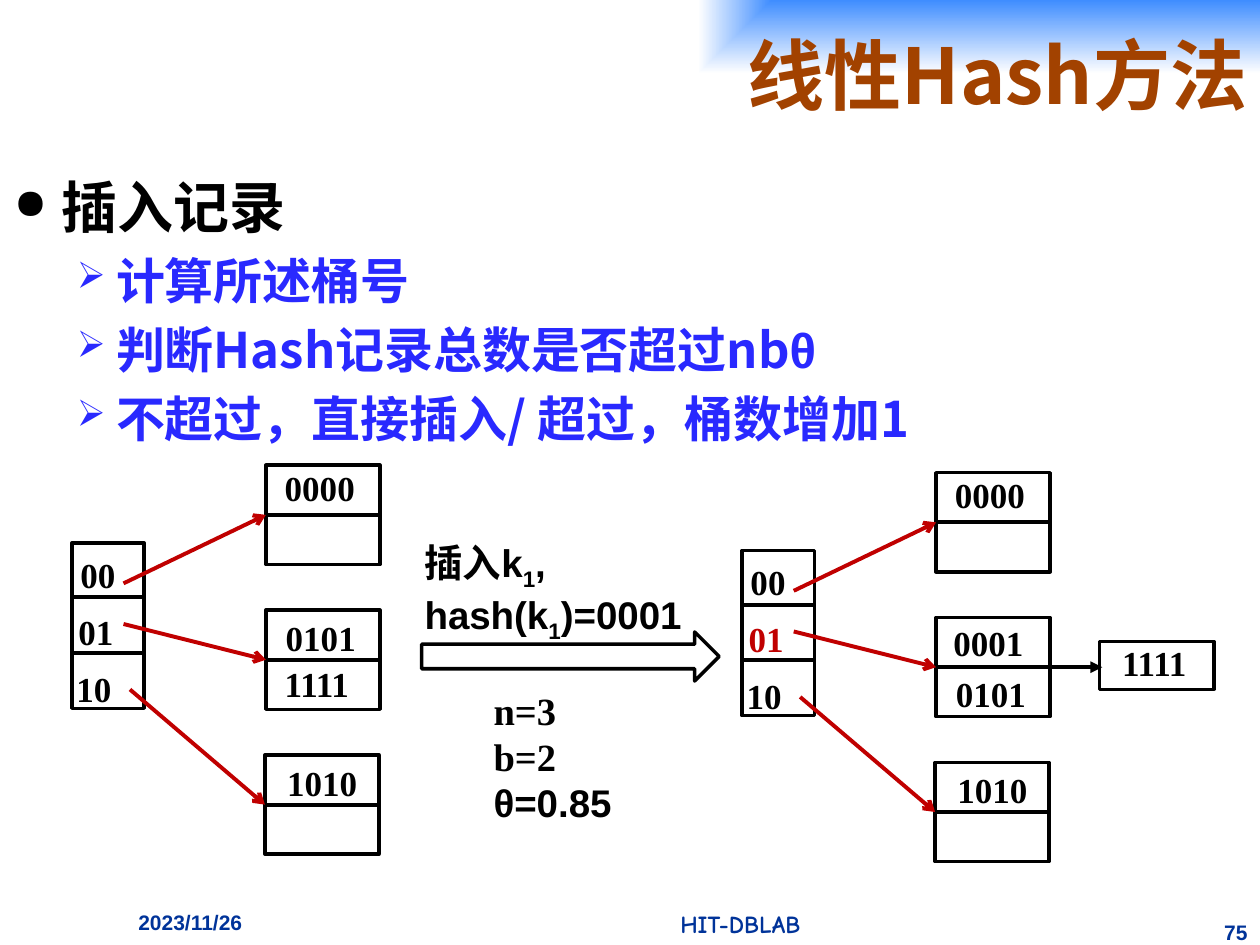
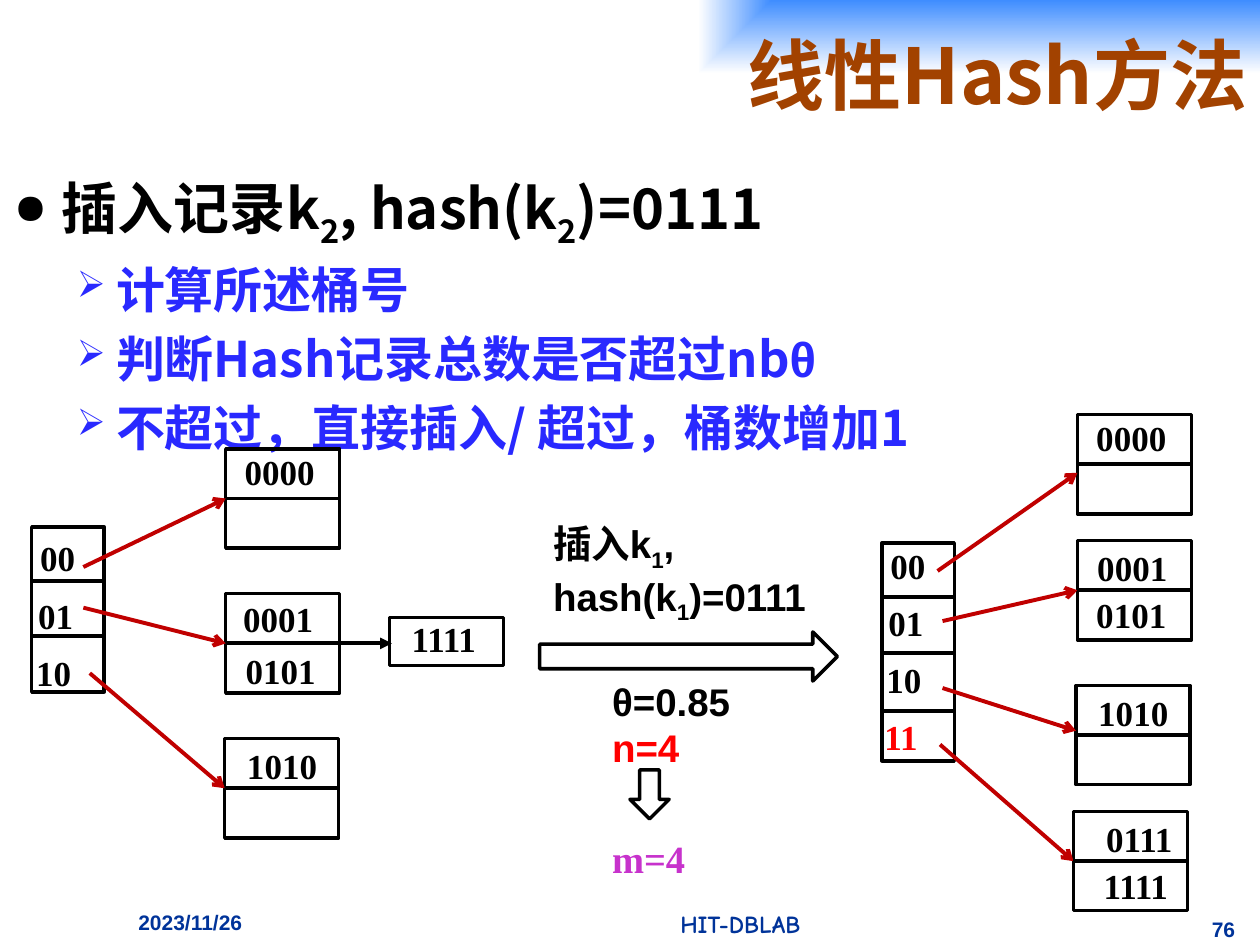
from dataclasses import dataclass

from lxml.etree import SubElement
from pptx import Presentation
from pptx.dml.color import RGBColor
from pptx.enum.shapes import MSO_CONNECTOR as CONN, MSO_SHAPE as SHAPE
from pptx.enum.text import MSO_ANCHOR as ANCHOR, MSO_AUTO_SIZE as AUTO, PP_ALIGN as ALIGN
from pptx.oxml import parse_xml
from pptx.oxml.ns import nsdecls, qn
from pptx.util import Cm, Pt


@dataclass(frozen=True)
class Theme:
    title: str = "A24200"
    band: str = "3F8DFF"
    black: str = "000000"
    blue: str = "2929FF"
    footer: str = "003399"
    pointer: str = "C00000"
    red: str = "FF0000"
    purple: str = "C732CC"
    title_font: str = "Noto Sans CJK SC"
    body_font: str = "Noto Sans CJK JP"
    sans: str = "Arial"
    serif: str = "Times New Roman"
    comic: str = "Comic Neue"
    title_size: int = 44
    head_size: int = 32
    step_size: int = 28
    note_size: int = 22
    code_size: int = 20
    lab_size: int = 14
    foot_size: int = 12


T = Theme()


def write(p, text, size=T.code_size, color=T.black, font=T.serif):
    """Append bold runs to p; parts between tildes become subscripts."""
    for i, part in enumerate(text.split("~")):
        r = p.add_run()
        r.text = part
        r.font.size, r.font.bold, r.font.name = Pt(size), True, font
        r.font.color.rgb = RGBColor.from_string(color)
        rPr = r.font._element
        east = font if "CJK" in font else T.title_font
        SubElement(rPr, qn("a:ea"), typeface=east)
        if i % 2:
            rPr.set("baseline", "-25000")


def add_text(s, x, y, w, h, text, align=ALIGN.LEFT, **fmt):
    tf = s.shapes.add_textbox(Cm(x), Cm(y), Cm(w), Cm(h)).text_frame
    tf.word_wrap = True
    p = tf.paragraphs[0]
    p.alignment = align
    write(p, text, **fmt)
    return tf


# Directory and bucket geometry, in centimetres
KEY_W, BUCKET_W, BUCKET_H, HALF = 1.46, 2.3, 2.0, 1.0
ROWS = (1.09, 2.21, 3.38)
KEY_STEP = 1.15

# A bucket: its offset, the pointer's start, the pointer's tip below the bucket top,
# its values with their offsets, and the value in its overflow block
FIRST = (3.91, -1.57, (1.04, 0.81), HALF, [("0000", 0.13, -0.1)], None)
THIRD = (3.89, 4.27, (1.17, 2.95), HALF, [("1010", 0.2, 0)], None)
BEFORE = [FIRST,
          (3.91, 1.35, (1.04, 1.63), HALF, [("0101", 0.15, 0), ("1111", 0.13, 0.94)], None),
          THIRD]
CHAINED = [FIRST,
           (3.91, 1.35, (1.04, 1.63), HALF, [("0001", 0.1, -0.05), ("0101", 0.15, 0.99)], "1111"),
           THIRD]
SPLIT = [(3.94, -2.59, (1.12, 0.56), 1.17, [("0000", 0.13, -0.08)], None),
         (3.94, -0.05, (1.22, 1.57), HALF, [("0001", 0.15, 0), ("0101", 0.13, 0.94)], None),
         (3.91, 2.87, (1.22, 2.92), 0.91, [("1010", 0.2, 0)], None),
         (3.86, 5.41, (1.17, 4.06), HALF, [("0111", 0.41, 0), ("1111", 0.36, 0.94)], None)]
KEYS = ["00", "01", "10"]

# Each tree: origin, directory height, first key offset, keys, key colours, buckets
SLIDES = [
    dict(number="75", number_at=(24.33, 18.42), head="插入记录", head_line=41.6,
         trees=[(1.45, 10.95, 3.33, 0.08, KEYS, {}, BEFORE),
                (14.96, 11.1, 3.33, 0.08, KEYS, {"01": T.pointer}, CHAINED)],
         insert=(8.31, 10.74, "插入k~1~, hash(k~1~)=0001"),
         state=(9.7, 13.72, [("n=3", T.serif, T.black), ("b=2", T.serif, T.black),
                             ("θ=0.85", T.sans, T.black)]),
         arrows=[(SHAPE.RIGHT_ARROW, 8.5, 12.74, 6, 0.99)], result=None),
    dict(number="76", number_at=(24.08, 18.36), head="插入记录k~2~, hash(k~2~)=0111",
         head_line=47,
         trees=[(0.64, 10.62, 3.33, 0.08, KEYS, {}, CHAINED),
                (17.78, 10.95, 4.39, -0.1, KEYS + ["11"], {"11": T.red}, SPLIT)],
         insert=(10.9, 10.36, "插入k~1~, hash(k~1~)=0111"),
         state=(12.09, 13.54, [("θ=0.85", T.sans, T.black), ("n=4", T.sans, T.red)]),
         arrows=[(SHAPE.RIGHT_ARROW, 10.88, 12.74, 6, 0.99),
                 (SHAPE.DOWN_ARROW, 12.7, 15.52, 0.79, 0.99)],
         result=(12.09, 16.71, "m=4")),
]
STEPS = [("计算所述桶号", ""), ("判断Hash记录总数是否超过nb", "θ"),
         ("不超过，直接插入/ 超过，桶数增加1", "")]

prs = Presentation()
prs.slide_width, prs.slide_height = Cm(25.4), Cm(19.05)

for page in SLIDES:
    s = prs.slides.add_slide(prs.slide_layouts[5])

    # Title on its gradient band
    title = s.shapes.title
    title.left, title.top, title.width, title.height = Cm(2.74), Cm(0), Cm(22.66), Cm(2.97)
    title._element.spPr.append(parse_xml(
        f'<a:gradFill {nsdecls("a")} rotWithShape="0"><a:gsLst>'
        f'<a:gs pos="0"><a:srgbClr val="{T.band}"/></a:gs>'
        '<a:gs pos="100000"><a:srgbClr val="FFFFFF"/></a:gs></a:gsLst>'
        '<a:path path="rect"><a:fillToRect l="100000" b="100000"/></a:path></a:gradFill>'))
    tf = title.text_frame
    tf.auto_size, tf.vertical_anchor, tf.word_wrap = AUTO.NONE, ANCHOR.MIDDLE, True
    tf.paragraphs[0].alignment = ALIGN.RIGHT
    write(tf.paragraphs[0], "线性Hash方法", size=T.title_size, color=T.title, font=T.title_font)

    # Heading and steps
    tf = add_text(s, 0.03, 3.25, 25.22, 6.38, page["head"], size=T.head_size, font=T.body_font)
    tf.paragraphs[0].line_spacing = Pt(page["head_line"])
    for step, symbol in STEPS:
        p = tf.add_paragraph()
        p.line_spacing, p.space_before = Pt(33.8), Pt(5.6)
        write(p, step, size=T.step_size, color=T.blue, font=T.body_font)
        if symbol:
            write(p, symbol, size=T.step_size, color=T.blue, font=T.sans)
    for i, p in enumerate(tf.paragraphs):
        margin, hang, color, char = (2.06, 0.79, T.blue, "➢") if i else (0.97, 0.97, T.black, "●")
        pPr = p._p.get_or_add_pPr()
        pPr.set("marL", str(Cm(margin)))
        pPr.set("indent", str(-Cm(hang)))
        SubElement(SubElement(pPr, qn("a:buClr")), qn("a:srgbClr"), val=color)
        SubElement(pPr, qn("a:buSzPct"), val="75000")
        SubElement(pPr, qn("a:buChar"), char=char)

    # Footer
    add_text(s, 2.54, 18.21, 4.45, 0.84, "2023/11/26",
             size=T.foot_size, color=T.footer, font=T.sans)
    add_text(s, 8.89, 18.21, 12.07, 0.84, "HIT-DBLAB", align=ALIGN.CENTER,
             size=T.lab_size, color=T.footer, font=T.comic)
    add_text(s, *page["number_at"], 1.07, 0.64, page["number"], align=ALIGN.RIGHT,
             size=T.foot_size, color=T.footer, font=T.sans)

    # Collect the outlines, lines and labels of the hash tables
    outlines, lines, labels = list(page["arrows"]), [], []
    for x, y, height, key_dy, keys, key_colors, buckets in page["trees"]:
        outlines.append((SHAPE.RECTANGLE, x, y, KEY_W, height))
        for row in ROWS[:len(keys) - 1]:
            lines.append((x, y + row, x + KEY_W, y + row, T.black, None))
        for i, key in enumerate(keys):
            labels.append((x - 0.08 - 0.04 * i, y + key_dy + KEY_STEP * i, 1.42, key,
                           key_colors.get(key, T.black)))
        for dx, dy, (start_x, start_y), tip, values, overflow in buckets:
            bx, by = x + dx, y + dy
            outlines.append((SHAPE.RECTANGLE, bx, by, BUCKET_W, BUCKET_H))
            lines.append((x + start_x, y + start_y, bx, by + tip, T.pointer, "arrow"))
            end_x, head = (bx + 3.35, "triangle") if overflow else (bx + BUCKET_W, None)
            lines.append((bx, by + HALF, end_x, by + HALF, T.black, head))
            for value, vx, vy in values:
                labels.append((bx + vx, by + vy, 2.2, value, T.black))
            if overflow:
                outlines.append((SHAPE.RECTANGLE, bx + 3.3, by + 0.48, BUCKET_W, 0.97))
                labels.append((bx + 3.5, by + 0.36, 2.2, overflow, T.black))

    for kind, x, y, w, h in outlines:
        sp = s.shapes.add_shape(kind, Cm(x), Cm(y), Cm(w), Cm(h))
        sp.shadow.inherit = False
        sp.fill.background()
        sp.line.color.rgb = RGBColor.from_string(T.black)
        sp.line.width = Pt(2)
    for x1, y1, x2, y2, color, head in lines:
        c = s.shapes.add_connector(CONN.STRAIGHT, Cm(x1), Cm(y1), Cm(x2), Cm(y2))
        c.line.color.rgb = RGBColor.from_string(color)
        c.line.width = Pt(2.25)
        spPr = c._element.spPr
        if head:
            SubElement(spPr.find(qn("a:ln")), qn("a:tailEnd"), type=head)
        SubElement(spPr, qn("a:effectLst"))
    for x, y, w, text, color in labels:
        add_text(s, x, y, w, 1.12, text, color=color)

    # Insert operation and table state
    x, y, text = page["insert"]
    add_text(s, x, y, 7.37, 2.13, text, size=T.note_size, font=T.sans)
    x, y, ((text, font, color), *rest) = page["state"]
    tf = add_text(s, x, y, 3.3, 3.07, text, size=T.note_size, font=font, color=color)
    for text, font, color in rest:
        write(tf.add_paragraph(), text, size=T.note_size, font=font, color=color)
    if page["result"]:
        x, y, text = page["result"]
        add_text(s, x, y, 2.4, 1.19, text, size=T.note_size, color=T.purple)

prs.save("out.pptx")
